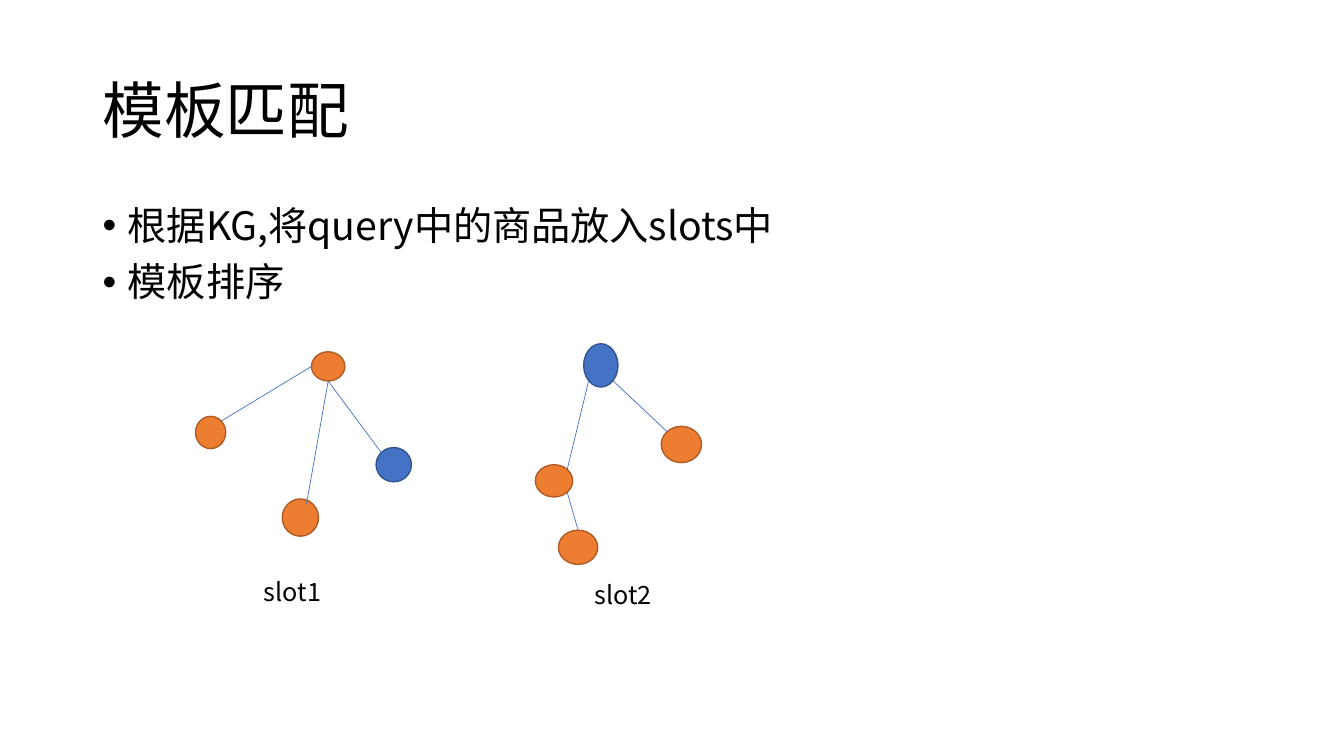
from math import sqrt
from lxml.etree import SubElement
from pptx import Presentation
from pptx.dml.color import RGBColor
from pptx.enum.shapes import MSO_CONNECTOR as Link, MSO_SHAPE as Shape
from pptx.enum.text import MSO_ANCHOR as Anchor
from pptx.oxml.ns import qn
from pptx.util import Inches, Pt

FONT = "Noto Sans CJK SC"
COLORS = {"text": "000000", "edge": "4472C4",
          "orange": "ED7D31", "orange_rim": "AF5C24",
          "blue": "4472C4", "blue_rim": "325491"}

# Boxes are left, top, width, height in percent of the slide.
TEXTS = [
    (["模板匹配"], (6.9, 5.33, 86.25, 19.33),
     {"size": 44, "anchor": Anchor.MIDDLE, "spacing": 0.9}),
    (["根据KG,将query中的商品放入slots中", "模板排序"], (6.9, 26.67, 86.25, 63.47),
     {"size": 28, "spacing": 0.9, "gap": 10, "bullet": "•"}),
    (["slot1"], (18.9, 75.6, 10.95, 5.33), {"size": 18}),
    (["slot2"], (43.5, 76, 10.95, 5.33), {"size": 18}),
]

NODES = {
    "slot1 root": ("orange", (23.18, 46.53, 2.48, 3.87)),
    "slot1 left": ("orange", (14.55, 55.07, 2.25, 4.27)),
    "slot1 middle": ("orange", (21, 66, 2.7, 4.93)),
    "slot1 right": ("blue", (27.98, 59.2, 2.63, 4.53)),
    "slot2 root": ("blue", (43.43, 45.47, 2.55, 5.73)),
    "slot2 left": ("orange", (39.83, 61.47, 2.78, 4.27)),
    "slot2 right": ("orange", (49.2, 56.4, 3, 4.8)),
    "slot2 leaf": ("orange", (41.55, 70.13, 2.93, 4.53)),
}

EDGES = [
    ("slot1 root", "left", "slot1 left", "top right"),
    ("slot1 root", "bottom", "slot1 middle", "upper right"),
    ("slot1 root", "bottom", "slot1 right", "top left"),
    ("slot2 root", "bottom left", "slot2 left", "top right"),
    ("slot2 root", "bottom right", "slot2 right", "top left"),
    ("slot2 left", "bottom right", "slot2 leaf", "top"),
]

NEAR = 0.5 - sqrt(2) / 4
FAR = 1 - NEAR
RIM = {"top": (0.5, 0), "left": (0, 0.5), "bottom": (0.5, 1),
       "top left": (NEAR, NEAR), "top right": (FAR, NEAR),
       "bottom left": (NEAR, FAR), "bottom right": (FAR, FAR),
       "upper right": (0.67, 0.13)}

deck = Presentation()
deck.slide_width, deck.slide_height = Inches(13.333), Inches(7.5)
slide = deck.slides.add_slide(deck.slide_layouts[6])


def color(name):
    return RGBColor.from_string(COLORS[name])


def place(box):
    sides = (deck.slide_width, deck.slide_height) * 2
    return [round(side * share / 100) for side, share in zip(sides, box)]


def rim_point(node, where):
    left, top, width, height = place(NODES[node][1])
    across, down = RIM[where]
    return round(left + across * width), round(top + down * height)


def add_bullet(paragraph, mark):
    props = paragraph._p.get_or_add_pPr()
    for key, value in {"marL": Inches(0.25), "indent": -Inches(0.25)}.items():
        props.set(key, str(value))
    SubElement(props, qn("a:buFont"), typeface="Arial")
    SubElement(props, qn("a:buChar"), char=mark)


def add_text(lines, box, style):
    frame = slide.shapes.add_textbox(*place(box)).text_frame
    frame.word_wrap = True
    frame.vertical_anchor = style.get("anchor", Anchor.TOP)
    for index, line in enumerate(lines):
        paragraph = frame.add_paragraph() if index else frame.paragraphs[0]
        if "bullet" in style:
            add_bullet(paragraph, style["bullet"])
        if "spacing" in style:
            paragraph.line_spacing = style["spacing"]
        if index:
            paragraph.space_before = Pt(style.get("gap", 0))
        run = paragraph.add_run()
        run.text = line
        for key, value in {"name": FONT, "size": Pt(style["size"])}.items():
            setattr(run.font, key, value)
        run.font.color.rgb = color("text")
        SubElement(run._r.get_or_add_rPr(), qn("a:ea"), typeface=FONT)


for text in TEXTS:
    add_text(*text)

for tint, box in NODES.values():
    node = slide.shapes.add_shape(Shape.FLOWCHART_CONNECTOR, *place(box))
    node.shadow.inherit = False
    node.fill.solid()
    node.fill.fore_color.rgb = color(tint)
    node.line.color.rgb = color(tint + "_rim")
    node.line.width = Pt(1)

for parent, start, child, end in EDGES:
    edge = slide.shapes.add_connector(
        Link.STRAIGHT, *rim_point(parent, start), *rim_point(child, end))
    edge.line.color.rgb = color("edge")
    edge.line.width = Pt(0.5)
    SubElement(edge._element.spPr, qn("a:effectLst"))

deck.save("out.pptx")
